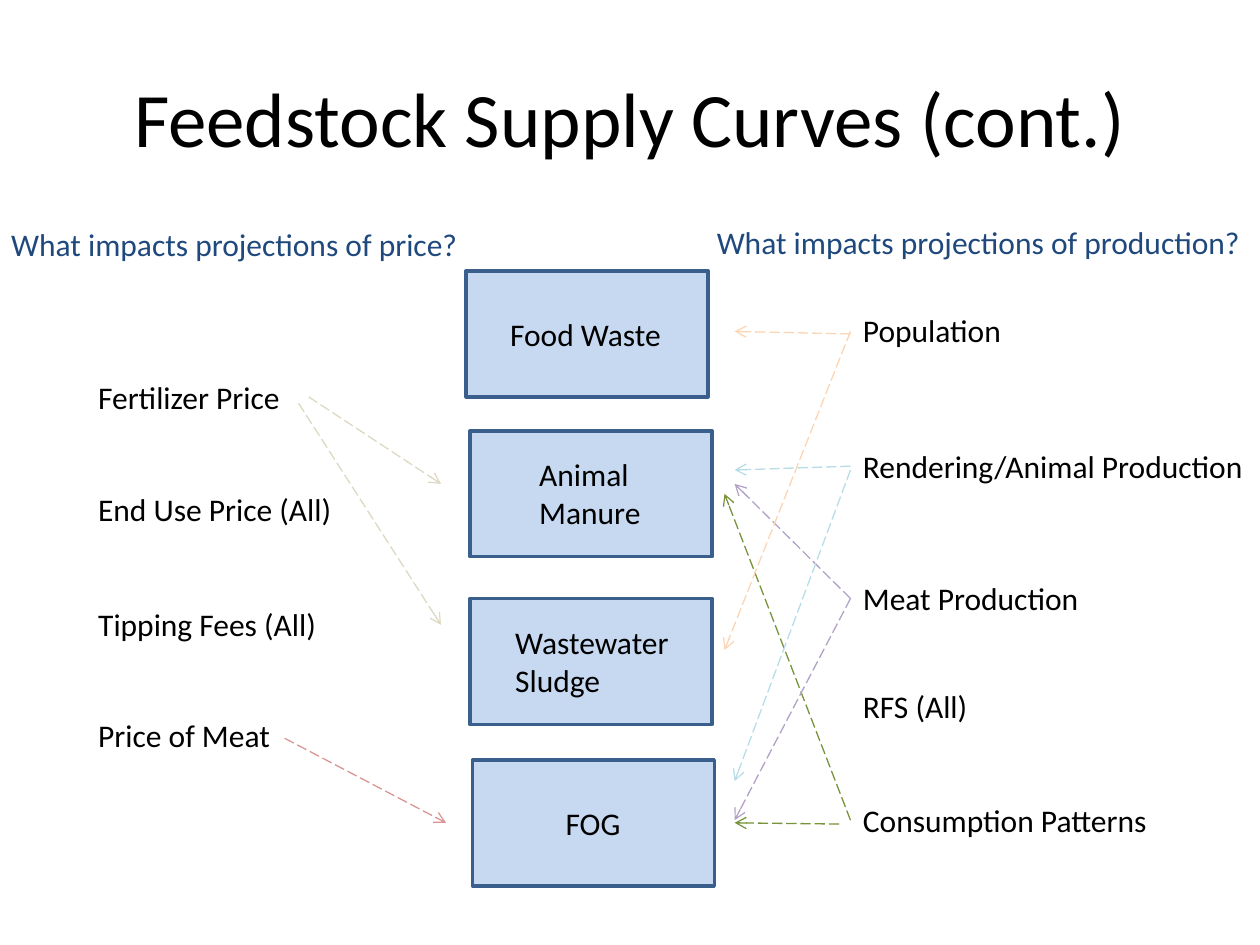
from lxml.etree import SubElement
from pptx import Presentation
from pptx.dml.color import RGBColor
from pptx.enum.dml import MSO_LINE
from pptx.enum.shapes import MSO_CONNECTOR, MSO_SHAPE
from pptx.enum.text import MSO_ANCHOR, MSO_AUTO_SIZE, PP_ALIGN
from pptx.oxml.ns import qn
from pptx.util import Pt


def color(hex_value):
    """Return the colour for a hex string."""
    return RGBColor.from_string(hex_value)


def add_label(shapes, text, left, top, width, height=28.8, ink="000000"):
    """Add an unwrapped 18 pt text box with one paragraph per line."""
    label = shapes.add_textbox(Pt(left), Pt(top), Pt(width), Pt(height))
    frame = label.text_frame
    frame.word_wrap = False
    frame.auto_size = MSO_AUTO_SIZE.SHAPE_TO_FIT_TEXT
    frame.text = text
    for para in frame.paragraphs:
        para.font.size = Pt(18)
        para.font.name = "Calibri"
        para.font.color.rgb = color(ink)


deck = Presentation()
deck.slide_width, deck.slide_height = Pt(720), Pt(540)
page = deck.slides.add_slide(deck.slide_layouts[5])

title = page.shapes.title
title.left, title.top, title.width, title.height = Pt(36), Pt(21.6), Pt(648), Pt(90)
title.text_frame.text = "Feedstock Supply Curves (cont.)"
title.text_frame.vertical_anchor = MSO_ANCHOR.MIDDLE
heading = title.text_frame.paragraphs[0]
heading.alignment = PP_ALIGN.CENTER
heading.font.size = Pt(44)
heading.font.name = "Calibri"
heading.font.color.rgb = color("000000")

# Feedstocks: text, box left, box top, label left, label width
box_width, box_height = 138.2, 72
feedstocks = [
    ("Food Waste", 266.4, 154.8, 284.4, 101.5),
    ("Animal \nManure", 268.6, 246.2, 301, 73.4),
    ("Wastewater\nSludge", 268.6, 342, 287.3, 103),
    ("FOG", 270, 434.2, 316.1, 46.1),
]
for text, left, top, label_left, label_width in feedstocks:
    group = page.shapes.add_group_shape()
    box = group.shapes.add_shape(
        MSO_SHAPE.RECTANGLE, Pt(left), Pt(top), Pt(box_width), Pt(box_height))
    box.shadow.inherit = False
    box.fill.solid()
    box.fill.fore_color.rgb = color("C6D9F1")
    box.line.color.rgb = color("3A5F8C")
    box.line.width = Pt(2)
    label_height = 51.1 if "\n" in text else 28.8
    label_top = top + (box_height - label_height) / 2
    add_label(group.shapes, text, label_left, label_top, label_width, label_height)

# Factors: left edge, then text, top, width
factor_columns = [
    (49, [("Fertilizer Price", 212.4, 119.5),
          ("End Use Price (All)", 276.5, 149),
          ("Tipping Fees (All)", 342, 140.4),
          ("Price of Meat", 405.4, 113.8)]),
    (486, [("Population", 174.2, 94.3),
           ("Rendering/Animal Production", 252, 234),
           ("Meat Production", 327.6, 139),
           ("RFS (All)", 388.8, 74.9),
           ("Consumption Patterns", 454.3, 179.3)]),
]
for left, factors in factor_columns:
    for text, top, width in factors:
        add_label(page.shapes, text, left, top, width)

add_label(page.shapes, "What impacts projections of price?", -0.7, 125.3, 272.9, ink="1F497D")
add_label(page.shapes, "What impacts projections of production?", 402.5, 123.8, 317.5, ink="1F497D")

# Arrows by factor: colour, then start x, start y, end x, end y
arrow_sets = [
    ("DDD9C3", [(176.4, 226.8, 252, 276.5), (170.6, 230.4, 252, 357.1)]),
    ("D99694", [(162.7, 421.9, 254.9, 470.2)]),
    ("77933C", [(479.5, 470.9, 419.8, 470.2), (486, 468.7, 414, 282.2)]),
    ("B3A2C7", [(486, 342, 419.8, 468.7), (486, 342, 419.8, 276.5)]),
    ("B7DEE8", [(486, 268.6, 419.8, 446.4), (486, 266.4, 419.8, 268.6)]),
    ("FCD5B5", [(486, 190.8, 419.8, 189.4), (486, 189.4, 414, 371.5)]),
]
for ink, arrows in arrow_sets:
    for ends in arrows:
        arrow = page.shapes.add_connector(MSO_CONNECTOR.STRAIGHT, *map(Pt, ends))
        arrow.line.color.rgb = color(ink)
        arrow.line.width = Pt(0.75)
        arrow.line.dash_style = MSO_LINE.LONG_DASH
        SubElement(arrow.line._get_or_add_ln(), qn("a:tailEnd"), type="arrow")
        SubElement(arrow._element.spPr, qn("a:effectLst"))

deck.save("out.pptx")
